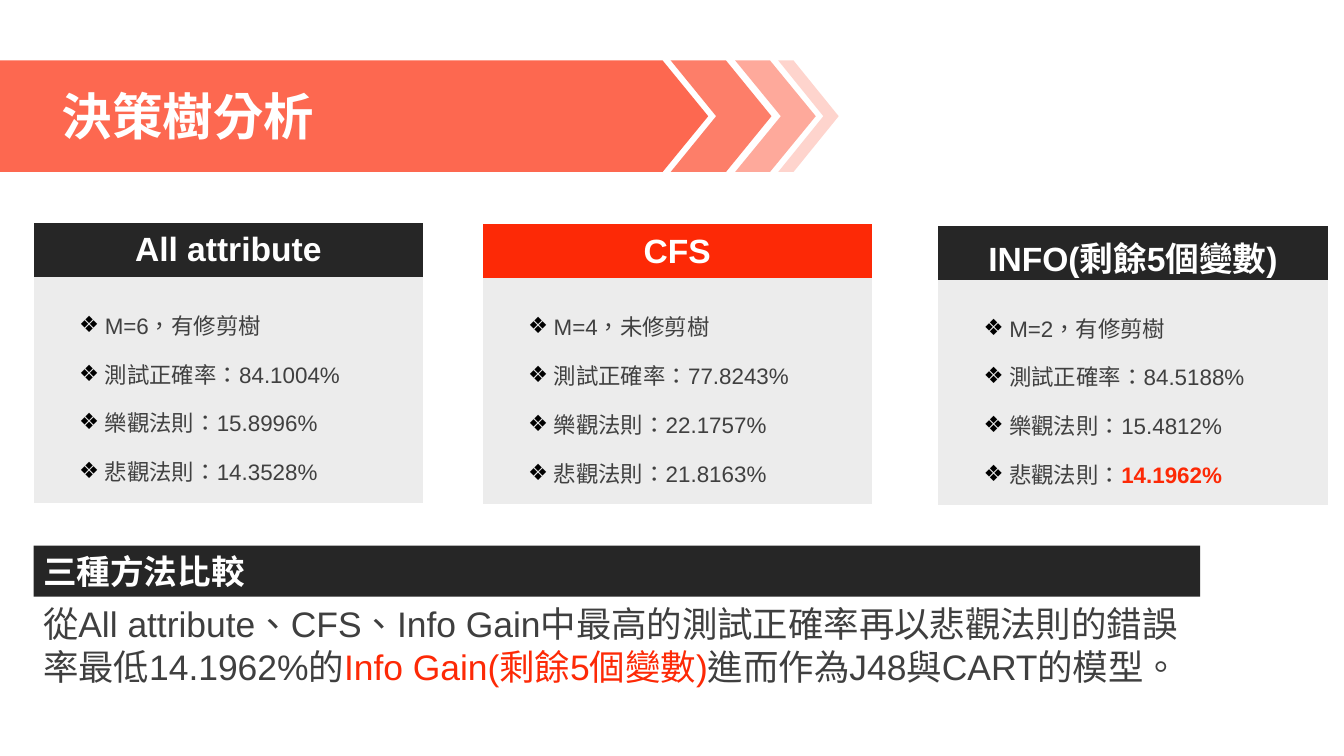
from dataclasses import dataclass

from lxml import etree
from pptx import Presentation
from pptx.dml.color import RGBColor
from pptx.enum import shapes, text
from pptx.oxml import ns
from pptx.util import Inches, Pt


@dataclass(frozen=True)
class Theme:
    font: str = "Arial"
    language: str = "zh-TW"
    red: str = "FD2906"
    dark: str = "262626"
    panel: str = "ECECEC"
    white: str = "FFFFFF"
    body: str = "3F3F3F"
    item: str = "404040"
    bullet: str = "000000"
    title_size: int = 27
    heading_size: int = 18
    conclusion_size: int = 19
    item_size: int = 12


@dataclass(frozen=True)
class Arrow:
    kind: shapes.MSO_SHAPE
    left: float
    width: float
    adjustment: float
    opacity: int


@dataclass(frozen=True)
class Method:
    name: str
    left: float
    top: float
    color: str
    setting: str
    accuracy: str
    optimistic: str
    pessimistic: str
    best: bool = False


THEME = Theme()

ARROWS = (
    Arrow(shapes.MSO_SHAPE.CHEVRON, 5.47, 0.6, 0.567, 40),
    Arrow(shapes.MSO_SHAPE.PENTAGON, 0, 5.27, 0.409, 70),
    Arrow(shapes.MSO_SHAPE.CHEVRON, 5.79, 0.45, 0.747, 20),
    Arrow(shapes.MSO_SHAPE.CHEVRON, 4.99, 0.75, 0.451, 60),
)

METHODS = (
    Method("All attribute", 0.25, 1.66, THEME.dark, "M=6，有修剪樹",
           "84.1004%", "15.8996%", "14.3528%"),
    Method("CFS", 3.59, 1.67, THEME.red, "M=4，未修剪樹",
           "77.8243%", "22.1757%", "21.8163%"),
    Method("INFO(剩餘5個變數)", 6.98, 1.68, THEME.dark, "M=2，有修剪樹",
           "84.5188%", "15.4812%", "14.1962%", best=True),
)

CONCLUSION = (
    ("從All attribute、CFS、Info Gain中最高的測試正確率再以悲觀法則的錯誤率最低14.1962%的", THEME.body),
    ("Info Gain(剩餘5個變數)", THEME.red),
    ("進而作為J48與CART的模型。", THEME.body),
)


def paint(fill, color: str) -> None:
    fill.solid()
    fill.fore_color.rgb = RGBColor.from_string(color)


def add_run(paragraph, content: str, size: int, color: str, bold: bool = False) -> None:
    run = paragraph.add_run()
    run.text = content
    run.font.name = THEME.font
    run.font.size = Pt(size)
    run.font.bold = bold
    run.font.color.rgb = RGBColor.from_string(color)
    run._r.get_or_add_rPr().set("lang", THEME.language)


def place(shape, left: float, top: float, width: float, height: float) -> None:
    shape.left, shape.top = Inches(left), Inches(top)
    shape.width, shape.height = Inches(width), Inches(height)


def format_frame(frame, anchor: text.MSO_ANCHOR, auto_size: text.MSO_AUTO_SIZE) -> None:
    frame.word_wrap = True
    frame.auto_size = auto_size
    frame.vertical_anchor = anchor
    frame.margin_left = frame.margin_right = Inches(0.07)
    frame.margin_top = frame.margin_bottom = Inches(0.04)


def set_indent(paragraph, left: float, first: float) -> None:
    properties = paragraph._p.get_or_add_pPr()
    properties.set("marL", str(Inches(left)))
    properties.set("indent", str(Inches(first)))


def add_bullet(paragraph) -> None:
    properties = paragraph._p.get_or_add_pPr()
    color = etree.SubElement(properties, ns.qn("a:buClr"))
    etree.SubElement(color, ns.qn("a:srgbClr"), val=THEME.bullet)
    etree.SubElement(properties, ns.qn("a:buFont"), typeface=THEME.font)
    etree.SubElement(properties, ns.qn("a:buChar"), char="❖")


def draw_banner(slide) -> None:
    banner = slide.shapes.add_group_shape()
    for arrow in ARROWS:
        shape = banner.shapes.add_shape(
            arrow.kind, Inches(arrow.left), Inches(0.45), Inches(arrow.width), Inches(0.83))
        shape.adjustments[0] = arrow.adjustment
        shape.shadow.inherit = False
        shape.line.fill.background()
        paint(shape.fill, THEME.red)
        color = shape._element.spPr.find(".//" + ns.qn("a:srgbClr"))
        etree.SubElement(color, ns.qn("a:alpha"), val=str(arrow.opacity * 1000))


def fill_title(title) -> None:
    place(title, 0.39, 0.31, 4.21, 1.09)
    format_frame(title.text_frame, text.MSO_ANCHOR.MIDDLE, text.MSO_AUTO_SIZE.NONE)
    paragraph = title.text_frame.paragraphs[0]
    paragraph.alignment = text.PP_ALIGN.LEFT
    set_indent(paragraph, 0.28, -0.28)
    add_run(paragraph, "決策樹分析", THEME.title_size, THEME.white, True)


def draw_comparison_heading(slide) -> None:
    heading = slide.shapes.add_shape(
        shapes.MSO_SHAPE.RECTANGLE, Inches(0.25), Inches(4.06), Inches(8.68), Inches(0.38))
    heading.shadow.inherit = False
    heading.line.fill.background()
    paint(heading.fill, THEME.dark)
    format_frame(heading.text_frame, text.MSO_ANCHOR.TOP, text.MSO_AUTO_SIZE.SHAPE_TO_FIT_TEXT)
    paragraph = heading.text_frame.paragraphs[0]
    paragraph.alignment = text.PP_ALIGN.LEFT
    add_run(paragraph, "三種方法比較", THEME.heading_size, THEME.white, True)


def fill_conclusion(body) -> None:
    place(body, 0.25, 4.44, 8.78, 0.72)
    format_frame(body.text_frame, text.MSO_ANCHOR.TOP, text.MSO_AUTO_SIZE.SHAPE_TO_FIT_TEXT)
    paragraph = body.text_frame.paragraphs[0]
    set_indent(paragraph, 0, 0)
    paragraph.space_before = Pt(0)
    etree.SubElement(paragraph._p.get_or_add_pPr(), ns.qn("a:buNone"))
    for content, color in CONCLUSION:
        add_run(paragraph, content, THEME.conclusion_size, color)


def draw_method(slide, method: Method) -> None:
    widths = (0.23, 2.42, 0.23)
    heights = (0.34, 0.42, 0.42, 0.42, 0.42)
    table = slide.shapes.add_table(
        len(heights), len(widths), Inches(method.left), Inches(method.top),
        Inches(sum(widths)), Inches(sum(heights))).table
    table.first_row = table.horz_banding = False
    style = table._tbl.tblPr.find(ns.qn("a:tableStyleId"))
    style.text = "{2D5ABB26-0587-4C30-8999-92F81FD0307C}"
    for column, width in zip(table.columns, widths):
        column.width = Inches(width)
    for index, (row, height) in enumerate(zip(table.rows, heights)):
        row.height = Inches(height)
        for cell in row.cells:
            paint(cell.fill, THEME.panel if index else method.color)

    header, details = table.cell(0, 0), table.cell(1, 1)
    header.merge(table.cell(0, 2))
    details.merge(table.cell(4, 1))
    header.vertical_anchor = details.vertical_anchor = text.MSO_ANCHOR.MIDDLE
    paragraph = header.text_frame.paragraphs[0]
    paragraph.alignment = text.PP_ALIGN.CENTER
    add_run(paragraph, method.name, THEME.heading_size, THEME.white, True)

    items = ((method.setting, ""), ("測試正確率：", method.accuracy),
             ("樂觀法則：", method.optimistic), ("悲觀法則：", method.pessimistic))
    frame = details.text_frame
    for index, (label, value) in enumerate(items):
        paragraph = frame.add_paragraph() if index else frame.paragraphs[0]
        set_indent(paragraph, 0.19, -0.19)
        paragraph.line_spacing = 1.5
        add_bullet(paragraph)
        if method.best and value == method.pessimistic:
            add_run(paragraph, label, THEME.item_size, THEME.item)
            add_run(paragraph, value, THEME.item_size, THEME.red, True)
        else:
            add_run(paragraph, label + value, THEME.item_size, THEME.item)


def main() -> None:
    presentation = Presentation()
    presentation.slide_width = Inches(10)
    presentation.slide_height = presentation.slide_width * 9 // 16
    slide = presentation.slides.add_slide(presentation.slide_layouts[1])
    title, body = slide.shapes.title, slide.placeholders[1]
    draw_banner(slide)
    fill_title(title)
    draw_comparison_heading(slide)
    fill_conclusion(body)
    for placeholder in (title, body):
        slide.shapes._spTree.append(placeholder._element)
    for method in METHODS:
        draw_method(slide, method)
    presentation.save("out.pptx")


if __name__ == "__main__":
    main()
